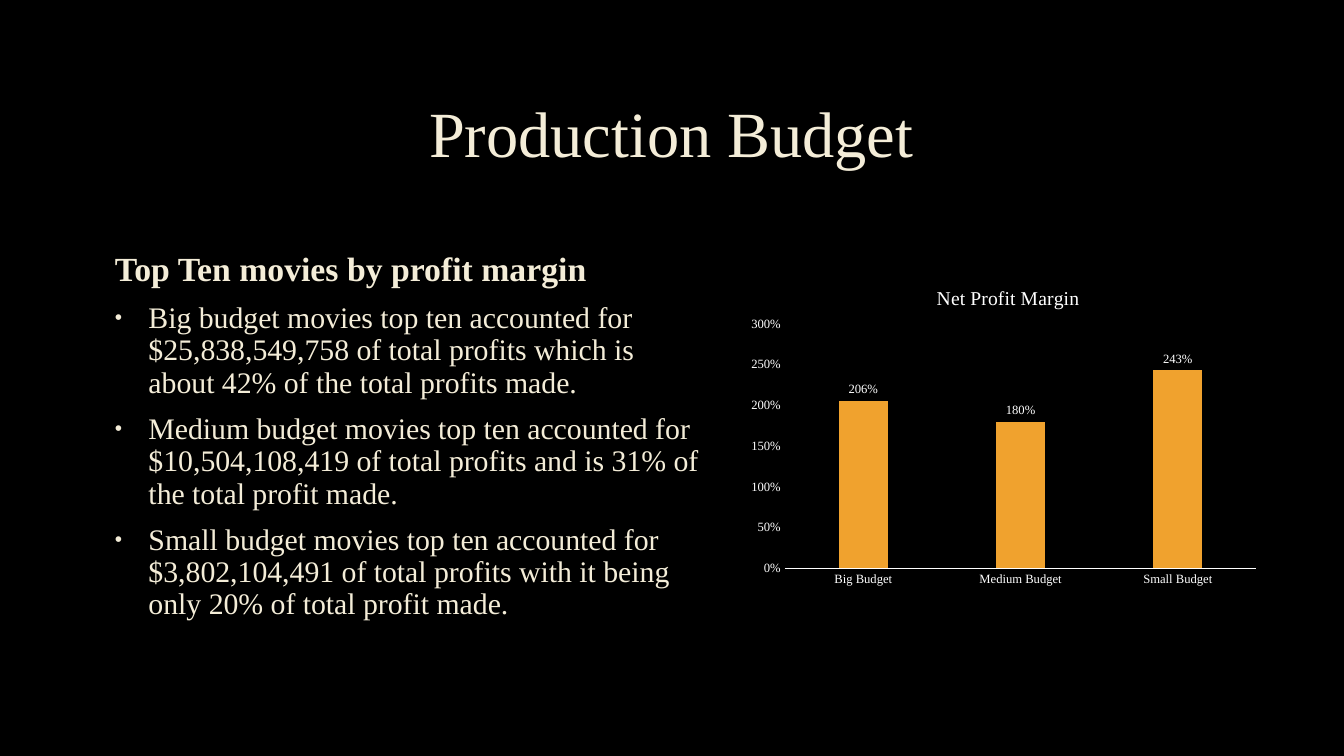
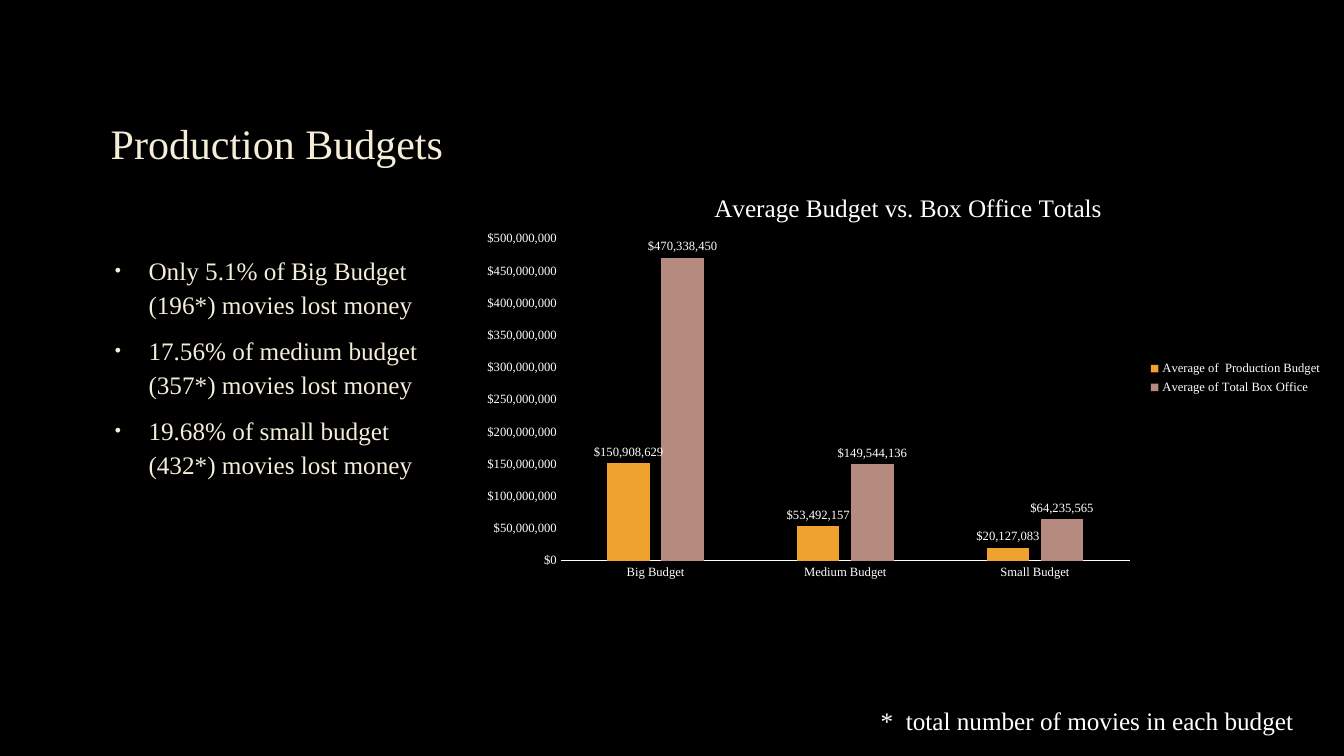
from dataclasses import dataclass

from pptx import Presentation
from pptx.chart.data import CategoryChartData
from pptx.dml.color import RGBColor
from pptx.enum.chart import XL_CHART_TYPE, XL_LABEL_POSITION, XL_LEGEND_POSITION, XL_TICK_MARK
from pptx.enum.text import MSO_ANCHOR, PP_ALIGN
from pptx.oxml import parse_xml
from pptx.oxml.ns import nsdecls, qn
from pptx.util import Pt


@dataclass(frozen=True)
class Theme:
    font: str = "Times New Roman"
    black: str = "000000"
    white: str = "FFFFFF"
    cream: str = "F4EDD8"
    outline: str = "404040"
    series: tuple = ("F0A22E", "B58B80")
    title: float = 46
    side_title: float = 30
    heading: float = 24.1
    body: float = 21.3
    note: float = 18
    chart_title: float = 14
    big_chart_title: float = 18
    chart: float = 10
    label: float = 9


class Deck:
    """Black slides with cream serif text and plain column charts."""

    def __init__(self, theme):
        self.t = theme
        self.prs = Presentation()
        self.prs.slide_width, self.prs.slide_height = Pt(960), Pt(540)
        fill = self.prs.slide_master.background.fill
        fill.solid()
        fill.fore_color.rgb = RGBColor.from_string(theme.black)
        self.s = None

    def slide(self):
        self.s = self.prs.slides.add_slide(self.prs.slide_layouts[6])

    def style(self, font, size, color):
        font.name, font.size = self.t.font, Pt(size)
        font.color.rgb = RGBColor.from_string(color)

    def box(self, at, anchor=MSO_ANCHOR.TOP, wrap=True):
        tf = self.s.shapes.add_textbox(*map(Pt, at)).text_frame
        tf.word_wrap, tf.vertical_anchor = wrap, anchor
        return tf

    def cream(self, p, size, spacing):
        self.style(p.font, size, self.t.cream)
        p.line_spacing = spacing
        props = p._p.get_or_add_pPr().find(qn("a:defRPr"))
        props.insert(0, parse_xml(
            f'<a:ln {nsdecls("a")} w="9525"><a:solidFill><a:srgbClr val="{self.t.outline}">'
            '<a:alpha val="10000"/></a:srgbClr></a:solidFill></a:ln>'))
        return props

    def title(self, text, at, size, align=PP_ALIGN.LEFT):
        p = self.box(at, MSO_ANCHOR.MIDDLE).paragraphs[0]
        p.text, p.alignment = text, align
        self.cream(p, size, 0.9)

    def body(self, items, at, size, spacing, heading=None, anchor=MSO_ANCHOR.TOP):
        tf = self.box(at, anchor)
        lines = ([heading] if heading else []) + items
        for i, text in enumerate(lines):
            p = tf.paragraphs[0] if i == 0 else tf.add_paragraph()
            p.text = text
            is_heading = text == heading
            points = self.t.heading if is_heading else size
            props = self.cream(p, points, spacing)
            p.space_before, p.space_after = Pt(0.2 * points), Pt(6)
            p.font.bold = is_heading
            pPr = p._p.pPr
            pPr.set("marL", str(Pt(3 if is_heading else 27)))
            pPr.set("indent", str(Pt(0 if is_heading else -24)))
            if not is_heading:
                for xml in (f'<a:buClr {nsdecls("a")}><a:srgbClr val="{self.t.cream}"/></a:buClr>',
                            f'<a:buSzPct {nsdecls("a")} val="70000"/>',
                            f'<a:buFont {nsdecls("a")} typeface="Arial"/>',
                            f'<a:buChar {nsdecls("a")} char="•"/>'):
                    props.addprevious(parse_xml(xml))

    def note(self, text, at):
        p = self.box(at, wrap=False).paragraphs[0]
        p.text = text
        self.style(p.font, self.t.note, self.t.white)

    def place(self, parent, frame, at, inner=False):
        left, top, width, height = frame
        values = [(at[0] - left) / width, (at[1] - top) / height]
        values += [v / full for v, full in zip(at[2:], (width, height))]
        parts = '<c:layoutTarget val="inner"/>' if inner else ""
        parts += '<c:xMode val="edge"/><c:yMode val="edge"/>'
        parts += "".join(f'<c:{k} val="{v:.4f}"/>' for k, v in zip("xywh", values))
        layout = parse_xml(f'<c:layout {nsdecls("c")}><c:manualLayout>{parts}'
                           '</c:manualLayout></c:layout>')
        old = parent.find(qn("c:layout"))
        if old is not None:
            parent.replace(old, layout)
        elif inner:
            parent.insert(0, layout)
        else:
            parent.find(qn("c:tx")).addnext(layout)

    def columns(self, title, cats, series, fmt, top, step, at, plot_at, title_at,
                title_size, legend=False):
        white = self.t.white
        data = CategoryChartData()
        data.categories = cats
        for name, values in series.items():
            data.add_series(name, values)
        chart = self.s.shapes.add_chart(
            XL_CHART_TYPE.COLUMN_CLUSTERED, *map(Pt, at), data).chart
        self.style(chart.font, self.t.chart, white)

        chart.has_title = True
        p = chart.chart_title.text_frame.paragraphs[0]
        p.text = title
        self.style(p.font, title_size, white)
        p.font.bold = False
        chart.chart_title.include_in_layout = False
        self.place(chart.chart_title.element, at, title_at)
        self.place(chart.element.xpath(".//c:plotArea")[0], at, plot_at, inner=True)

        for axis in (chart.category_axis, chart.value_axis):
            axis.major_tick_mark = axis.minor_tick_mark = XL_TICK_MARK.NONE
            axis.has_major_gridlines = False
            self.style(axis.tick_labels.font, self.t.label, white)
        line = chart.category_axis.format.line
        line.width = Pt(0.75)
        line.color.rgb = RGBColor.from_string(white)
        axis = chart.value_axis
        axis.format.line.fill.background()
        axis.minimum_scale, axis.maximum_scale, axis.major_unit = 0, top, step
        axis.tick_labels.number_format = fmt
        axis.tick_labels.number_format_is_linked = False

        plot = chart.plots[0]
        plot.gap_width, plot.overlap, plot.vary_by_categories = 219, -27, False
        for ser, color in zip(plot.series, self.t.series):
            ser.format.fill.solid()
            ser.format.fill.fore_color.rgb = RGBColor.from_string(color)
            labels = ser.data_labels
            labels.show_value = True
            labels.position = XL_LABEL_POSITION.OUTSIDE_END
            labels.number_format, labels.number_format_is_linked = fmt, False
            self.style(labels.font, self.t.label, white)

        chart.has_legend = legend
        if legend:
            chart.legend.position = XL_LEGEND_POSITION.RIGHT
            chart.legend.include_in_layout = False
            self.style(chart.legend.font, self.t.label, white)


def main():
    t = Theme()
    deck = Deck(t)
    cats = ["Big Budget", "Medium Budget", "Small Budget"]

    deck.slide()
    deck.title("Production Budget", (72, 48, 815, 99.5), t.title, PP_ALIGN.CENTER)
    deck.body(
        ["Big budget movies top ten accounted for $25,838,549,758 of total profits "
         "which is about 42% of the total profits made.",
         "Medium budget movies top ten accounted for $10,504,108,419 of total profits "
         "and is 31% of the total profit made.",
         "Small budget movies top ten accounted for $3,802,104,491 of total profits "
         "with it being only 20% of total profit made."],
        (72, 168, 437, 288), t.body, 0.9,
        heading="Top Ten movies by profit margin", anchor=MSO_ANCHOR.MIDDLE)
    deck.columns(
        "Net Profit Margin", cats, {"Series 1": (2.06, 1.8, 2.43)}, "0%", 3, 0.5,
        at=(529, 189.5, 376, 235), plot_at=(560.5, 231.5, 337, 174.5),
        title_at=(666.5, 201.5), title_size=t.chart_title)

    deck.slide()
    deck.title("Production Budgets", (72, 50.5, 266.5, 108), t.side_title)
    deck.body(
        ["Only 5.1% of Big Budget (196*) movies lost money",
         "17.56% of medium budget (357*) movies lost money",
         "19.68% of small budget (432*) movies lost money"],
        (72, 177, 264, 279), t.note, 1.1)
    deck.note("*  total number of movies in each budget", (622, 500.5, 319, 29))
    deck.columns(
        "Average Budget vs. Box Office Totals", cats,
        {"Average of  Production Budget ": (150908629, 53492157, 20127083),
         "Average of Total Box Office": (470338450, 149544136, 64235565)},
        '"$"#,##0', 500_000_000, 50_000_000,
        at=(336, 119.5, 618, 301), plot_at=(400.5, 170.5, 406.5, 230),
        title_at=(507, 134.5), title_size=t.big_chart_title, legend=True)

    deck.prs.save("out.pptx")


if __name__ == "__main__":
    main()
